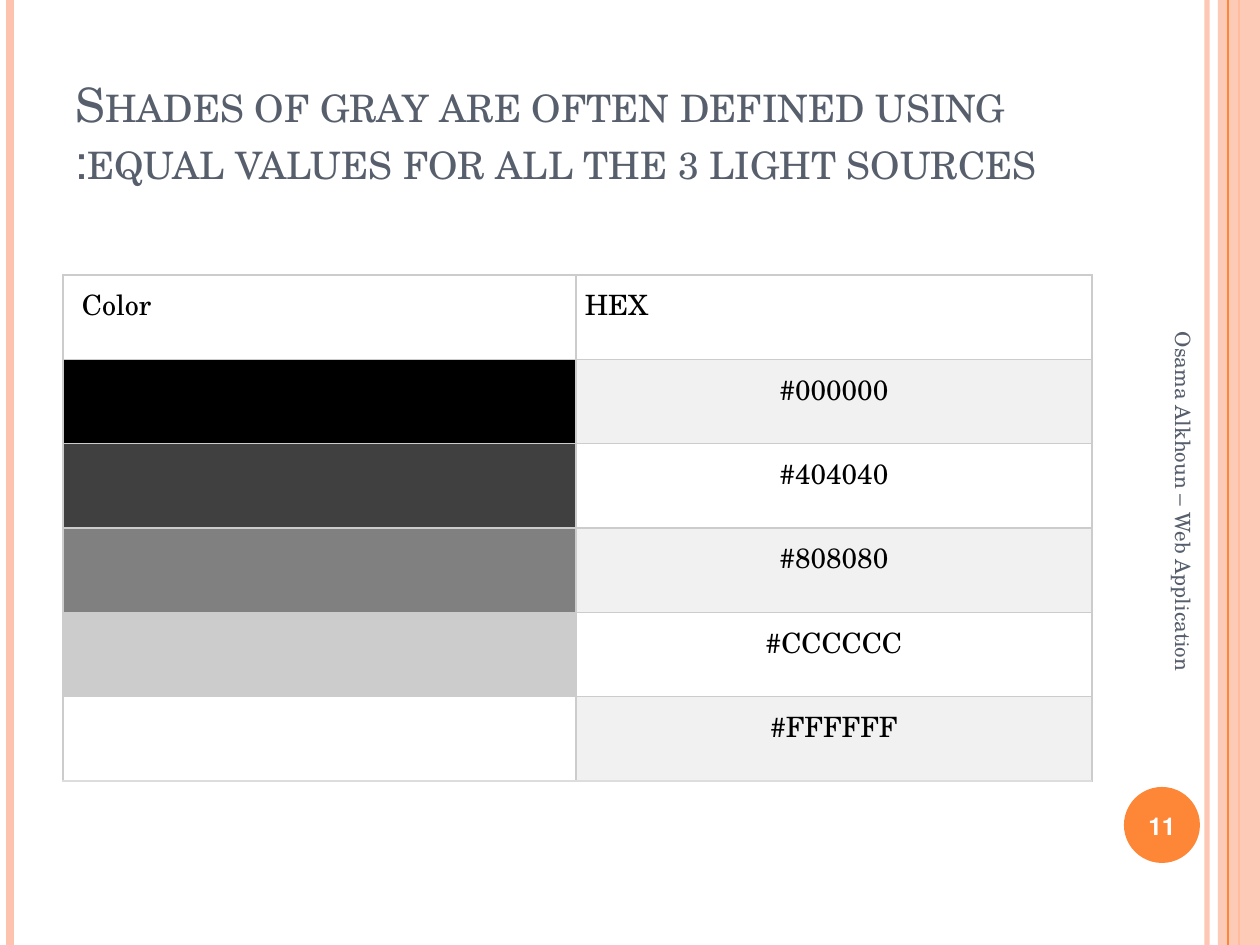
from lxml import etree
from pptx import Presentation, util as u
from pptx.dml.color import RGBColor
from pptx.enum import shapes, text
from pptx.oxml.ns import qn

PX = 914400 // 126
FONT = "TeX Gyre Schola"
HUES = {"peach": "FEC3AE", "orange": "FE8637", "slate": "575F6D",
        "white": "FFFFFF", "black": "000000", "band": "F1F1F1",
        "edge": "CCCCCC", "foot": "DDDDDD"}
LEFT, MID = text.PP_ALIGN.LEFT, text.PP_ALIGN.CENTER


def write(frame, words, size, hue, align=LEFT, rtl=True, bold=False,
          small=False, anchor=None):
    """Put one formatted paragraph into a text frame."""
    frame.word_wrap = True
    if anchor is not None:
        frame.vertical_anchor = anchor
    para = frame.paragraphs[0]
    para.alignment = align
    if rtl:
        para._p.get_or_add_pPr().set("rtl", "1")
    run = para.add_run()
    run.text = words
    run.font.name, run.font.size, run.font.bold = FONT, u.Pt(size), bold
    run.font.color.rgb = RGBColor.from_string(HUES[hue])
    if small:
        run._r.get_or_add_rPr().set("cap", "small")


def fade(fill, share):
    """Set the opacity of a solid fill, in percent."""
    color = fill._xPr.find(".//" + qn("a:srgbClr"))
    etree.SubElement(color, qn("a:alpha")).set("val", str(share * 1000))


deck = Presentation()
deck.slide_width, deck.slide_height = 1260 * PX, 945 * PX
slide = deck.slides.add_slide(deck.slide_layouts[6])
parts = slide.shapes

# Side decoration, from back to front
KINDS = shapes.MSO_SHAPE
items = [("disc", 1124, "orange", 0, 100), ("line", 1207, "peach", 3, 93),
         ("line", 10, "peach", 4.5, 100), ("line", 1239, "orange", 1.5, 100),
         ("band", 1218, "peach", 0, 87), ("line", 1228, "orange", 0.75, 100)]
for kind, x, hue, width, share in items:
    if kind == "line":
        line = parts.add_connector(shapes.MSO_CONNECTOR.STRAIGHT,
                                   x * PX, 0, x * PX, 945 * PX)
        line.line.width = u.Pt(width)
        fill = line.line.fill
        etree.SubElement(line._element.spPr, qn("a:effectLst"))
    else:
        form, box = ((KINDS.OVAL, (x, 787, 76, 76)) if kind == "disc"
                     else (KINDS.RECTANGLE, (x, 0, 42, 945)))
        shape = parts.add_shape(form, *[n * PX for n in box])
        shape.shadow.inherit = False
        shape.line.fill.background()
        fill = shape.fill
    fill.solid()
    fill.fore_color.rgb = RGBColor.from_string(HUES[hue])
    if share < 100:
        fade(fill, share)

# Title, page number and side note
title = "Shades of gray are often defined using equal values for all the 3 light sources:"
middle = text.MSO_ANCHOR.MIDDLE
notes = [
    ((63, 38, 1029, 157), 0, title,
     dict(size=27, hue="slate", small=True, anchor=text.MSO_ANCHOR.BOTTOM)),
    ((1120, 790, 84, 72), 0, "11",
     dict(size=14, hue="white", bold=True, align=MID, anchor=middle)),
    ((963, 515, 441, 50), 90, "Osama Alkhoun – Web Application",
     dict(size=12, hue="slate", anchor=middle))]
for box, turn, words, style in notes:
    note = parts.add_textbox(*[n * PX for n in box])
    note.rotation = turn
    write(note.text_frame, words, **style)

# Table of grays
grays = ["000000", "404040", "808080", "CCCCCC", "FFFFFF"]
rows = [("Color", "HEX")] + [("", "#" + gray) for gray in grays]
grid = parts.add_table(len(rows), 2, 63 * PX, 275 * PX, 1029 * PX, 506 * PX).table
grid.first_row = grid.horz_banding = False
for col, width in zip(grid.columns, (513, 516)):
    col.width = width * PX
for i, row in enumerate(rows):
    grid.rows[i].height = 506 * PX // len(rows)
    for j, words in enumerate(row):
        cell = grid.cell(i, j)
        cell.margin_left = (19 if i == j == 0 else 9) * PX
        cell.margin_right = cell.margin_top = cell.margin_bottom = 9 * PX
        if words:
            write(cell.text_frame, words, 16, "black",
                  align=MID if i else LEFT, rtl=i == 0)
        props = cell._tc.get_or_add_tcPr()
        for side in ("L", "R", "T", "B"):
            edge = etree.SubElement(props, qn("a:ln" + side), w=str(u.Pt(0.75)))
            solid = etree.SubElement(edge, qn("a:solidFill"))
            last = side == "B" and i == len(grays)
            etree.SubElement(solid, qn("a:srgbClr"),
                             val=HUES["foot" if last else "edge"])
        tone = HUES["band" if i % 2 else "white"]
        if i and j == 0:
            tone = grays[i - 1]
        cell.fill.solid()
        cell.fill.fore_color.rgb = RGBColor.from_string(tone)

deck.save("out.pptx")
